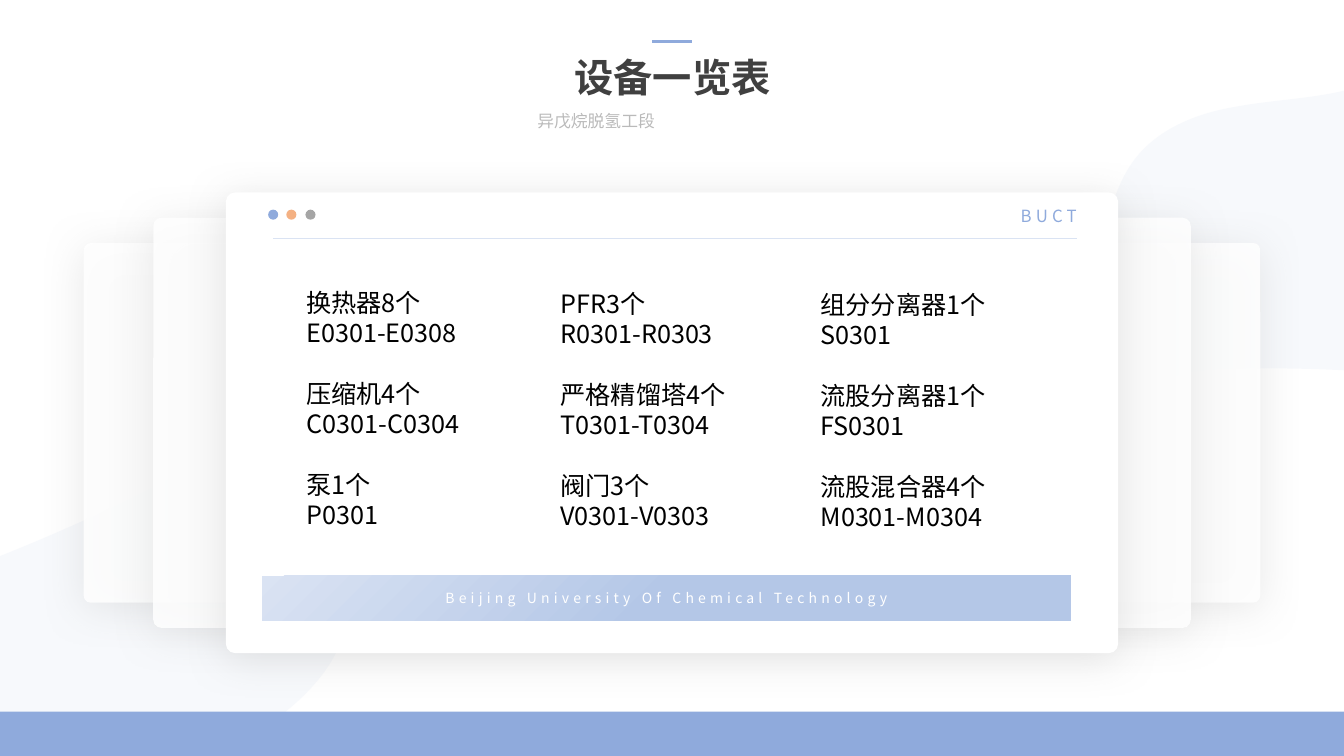
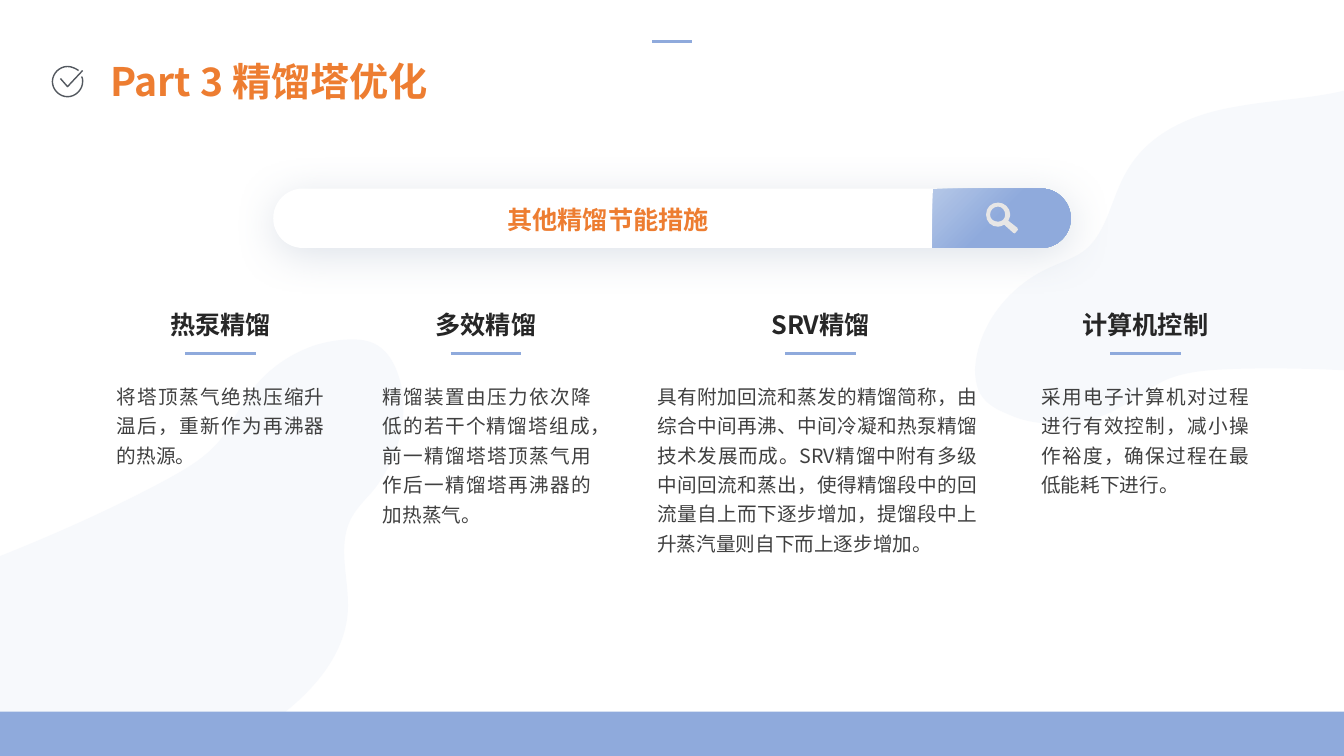
"""Build two slides on process equipment and column energy saving."""
from math import cos, radians, sin

from lxml.etree import SubElement
from pptx import Presentation
from pptx.dml.color import RGBColor as Rgb
from pptx.enum.shapes import MSO_CONNECTOR as Link, MSO_SHAPE as Kind
from pptx.enum.text import PP_ALIGN as Align
from pptx.oxml.ns import qn
from pptx.util import Inches, Pt

WIDE, HIGH = 13.33, 7.5
FONT = "Noto Sans CJK SC"
HUES = {
    "white": "FFFFFF", "black": "000000", "dark": "262626", "text": "404040",
    "note": "BABABA", "blue": "8FAADC", "mid": "B4C7E7", "pale": "DAE3F3",
    "orange": "ED7D31", "peach": "F4B183", "gray": "A5A5A5", "icon": "53585F",
    "lens": "E7E6E6", "shade": "BFBFBF", "slate": "ADB9CA",
}
LEFT = [(3.01, 3.47), (2.8, 3.56, 2.6, 3.72, 2.47, 3.91),
        (2.36, 4.06, 2.29, 4.23, 2.18, 4.37), (2.03, 4.55, 1.83, 4.66, 1.63, 4.77),
        (0.73, 5.25, -0.22, 5.62, -1.19, 5.96), (-1.57, 6.09, -1.96, 6.23, -2.28, 6.48),
        (-2.34, 6.52, -2.39, 6.56, -2.44, 6.61), (-2.55, 6.74), (-1.91, 8.18), (1.38, 9.02),
        (1.23, 8.62, 1.44, 8.17, 1.74, 7.86), (2.04, 7.56, 2.43, 7.37, 2.77, 7.11),
        (3.11, 6.85, 3.42, 6.5, 3.45, 6.07), (3.47, 5.76, 3.34, 5.43, 3.48, 5.15),
        (3.53, 5.05, 3.62, 4.96, 3.7, 4.87), (3.98, 4.52, 4.1, 4.02, 3.91, 3.62),
        (3.88, 3.56, 3.84, 3.5, 3.79, 3.46), (3.69, 3.37, 3.55, 3.36, 3.42, 3.37),
        (3.28, 3.38, 3.14, 3.41, 3.01, 3.47)]
RIGHT = [(10.41, 4.2), (10.64, 4.22, 10.88, 4.17, 11.09, 4.05),
         (11.25, 3.97, 11.39, 3.85, 11.56, 3.77), (11.77, 3.68, 12, 3.67, 12.23, 3.66),
         (13.25, 3.63, 14.27, 3.73, 15.28, 3.86), (15.68, 3.91, 16.09, 3.97, 16.49, 3.89),
         (16.56, 3.88, 16.62, 3.86, 16.69, 3.84), (16.85, 3.78), (16.92, 2.2), (14.35, -0.03),
         (14.3, 0.39, 13.92, 0.71, 13.51, 0.85), (13.11, 0.98, 12.67, 0.98, 12.25, 1.06),
         (11.83, 1.13, 11.4, 1.31, 11.18, 1.69), (11.02, 1.95, 10.99, 2.3, 10.75, 2.49),
         (10.65, 2.56, 10.53, 2.6, 10.42, 2.65), (10.01, 2.83, 9.69, 3.23, 9.67, 3.67),
         (9.67, 3.74, 9.68, 3.8, 9.7, 3.86), (9.75, 3.99, 9.87, 4.06, 10, 4.11),
         (10.13, 4.17, 10.27, 4.2, 10.41, 4.2)]
BLOBS = [(LEFT, (1.33, 6.64), 336), (RIGHT, (13.34, 2.12), 182.6)]
BUTTON = [(9.25, 1.87), (10.32, 1.87), (10.49, 1.87, 10.62, 2, 10.62, 2.17),
          (10.62, 2.33, 10.49, 2.46, 10.32, 2.46), (9.25, 2.46)]
RING = [(0.81, 0.76), (0.82, 0.77, 0.82, 0.79, 0.82, 0.81),
        (0.82, 0.89, 0.75, 0.96, 0.67, 0.96), (0.59, 0.96, 0.52, 0.89, 0.52, 0.81),
        (0.52, 0.73, 0.59, 0.66, 0.67, 0.66), (0.71, 0.66, 0.75, 0.68, 0.78, 0.7)]
TICK = [(0.6, 0.78), (0.67, 0.86), (0.82, 0.7)]
GLASS = [(10.09, 2.26), (10, 2.19), (10.01, 2.17, 10.02, 2.15, 10.02, 2.13),
         (10.02, 2.06, 9.96, 2.01, 9.9, 2.01), (9.83, 2.01, 9.78, 2.06, 9.78, 2.13),
         (9.78, 2.2, 9.83, 2.25, 9.9, 2.25), (9.92, 2.25, 9.94, 2.24, 9.96, 2.23),
         (10.05, 2.31), (10.06, 2.32, 10.07, 2.32, 10.08, 2.3),
         (10.1, 2.29, 10.1, 2.27, 10.09, 2.26)]
HOLE = [(9.9, 2.2), (9.85, 2.2, 9.82, 2.17, 9.82, 2.13), (9.82, 2.09, 9.85, 2.05, 9.9, 2.05),
        (9.94, 2.05, 9.97, 2.09, 9.97, 2.13), (9.97, 2.17, 9.94, 2.2, 9.9, 2.2)]
LISTS = [
    (2.94, 2.8, [("换热器8个", "E0301-E0308"), ("压缩机4个", "C0301-C0304"), ("泵1个", "P0301")]),
    (5.46, 2.81, [("PFR3个", "R0301-R0303"), ("严格精馏塔4个", "T0301-T0304"),
                  ("阀门3个", "V0301-V0303")]),
    (8.04, 2.82, [("组分分离器1个", "S0301"), ("流股分离器1个", "FS0301"),
                  ("流股混合器4个", "M0301-M0304")]),
]
WAYS = [
    (2.19, 1.06, 2.26, 3, "热泵精馏", "将塔顶蒸气绝热压缩升温后，重新作为再沸器的热源。"),
    (4.82, 3.7, 2.26, 5, "多效精馏",
     "精馏装置由压力依次降低的若干个精馏塔组成，前一精馏塔塔顶蒸气用作后一精馏塔再沸器的加热蒸气。"),
    (8.14, 6.42, 3.37, 6, "SRV精馏",
     "具有附加回流和蒸发的精馏简称，由综合中间再沸、中间冷凝和热泵精馏技术发展而成。"
     "SRV精馏中附有多级中间回流和蒸出，使得精馏段中的回流量自上而下逐步增加，"
     "提馏段中上升蒸汽量则自下而上逐步增加。"),
    (11.36, 10.23, 2.26, 4, "计算机控制",
     "采用电子计算机对过程进行有效控制，减小操作裕度，确保过程在最低能耗下进行。"),
]


def tint(name):
    return Rgb.from_string(HUES[name])


def paint(shape, fill, alpha=100):
    shape.shadow.inherit = False
    shape.line.fill.background()
    if isinstance(fill, tuple):
        shape.fill.gradient()
        shape.fill.gradient_angle = 315
        for stop, hue, place in zip(shape.fill.gradient_stops, fill, (0, 0.49)):
            stop.color.rgb = tint(hue)
            stop.position = place
        return
    shape.fill.solid()
    shape.fill.fore_color.rgb = tint(fill)
    if alpha < 100:
        node = shape.element.xpath("./p:spPr/a:solidFill/a:srgbClr")[0]
        SubElement(node, qn("a:alpha"), val=str(alpha * 1000))


def block(slide, kind, box, fill, alpha=100, bend=None):
    shape = slide.shapes.add_shape(kind, *map(Inches, box))
    paint(shape, fill, alpha)
    if bend is not None:
        shape.adjustments[0] = bend
    return shape


def shade(shape, hue):
    glow = SubElement(shape.element.xpath("./p:spPr/a:effectLst")[0], qn("a:outerShdw"),
                      blurRad=str(Pt(30)), dist=str(Pt(5)), dir="5400000",
                      algn="t", rotWithShape="0")
    color = SubElement(glow, qn("a:srgbClr"), val=HUES[hue])
    SubElement(color, qn("a:alpha"), val="40000")


def trace(slide, *loops, close=True):
    pen = slide.shapes.build_freeform(*map(Inches, loops[0][0]))
    for i, loop in enumerate(loops):
        if i:
            pen.move_to(*map(Inches, loop[0]))
        pen.add_line_segments([tuple(map(Inches, part[-2:])) for part in loop[1:]], close=close)
    shape = pen.convert_to_shape()
    parts = [part for loop in loops for part in loop[1:]]
    for node, part in zip(shape.element.xpath(".//a:lnTo"), parts):
        if len(part) == 6:
            node.tag = qn("a:cubicBezTo")
            for i in (0, 1):
                x, y = map(Inches, part[2 * i:2 * i + 2])
                dot = SubElement(node, qn("a:pt"), x=str(x - shape.left), y=str(y - shape.top))
                node.insert(i, dot)
    return shape


def spin(dot, hub, turn):
    c, s = cos(radians(turn)), sin(radians(turn))
    x, y = dot[0] - hub[0], dot[1] - hub[1]
    return hub[0] + c * x - s * y, hub[1] + s * x + c * y


def blob(slide, loop, hub, turn):
    flat = [sum((spin(part[i:i + 2], hub, -turn) for i in range(0, len(part), 2)), ())
            for part in loop]
    shape = trace(slide, flat)
    half = shape.width / 2, shape.height / 2
    mid = spin((shape.left + half[0], shape.top + half[1]), tuple(map(Inches, hub)), turn)
    shape.left, shape.top = int(mid[0] - half[0]), int(mid[1] - half[1])
    shape.rotation = turn
    paint(shape, "pale", 20)


def rule(slide, start, end, hue="blue", size=2.25):
    line = slide.shapes.add_connector(Link.STRAIGHT, *map(Inches, start + end))
    line.line.color.rgb = tint(hue)
    line.line.width = Pt(size)
    SubElement(line.element.spPr, qn("a:effectLst"))


def style(para, size, hue, bold=False, align=Align.LEFT, pitch=None, track=0, font=FONT):
    para.alignment = align
    if pitch:
        para.line_spacing = pitch
    face = para.font
    face.name, face.size, face.bold = font, Pt(size), bold
    face.color.rgb = tint(hue)
    node = para._p.xpath("./a:pPr/a:defRPr")[0]
    SubElement(node, qn("a:ea"), typeface=FONT)
    if track:
        node.set("spc", str(track * 100))


def label(slide, box, text, size, hue, pad=0.1, wrap=True, **looks):
    frame = slide.shapes.add_textbox(*map(Inches, box)).text_frame
    frame.word_wrap = wrap
    frame.margin_left = frame.margin_right = Inches(pad)
    frame.text = text
    for para in frame.paragraphs:
        style(para, size, hue, **looks)
    return frame


def title(slide, left, top, text, hue, font=FONT):
    label(slide, (left, top, 4.12, 0.61), text, 28, hue, bold=True,
          align=Align.CENTER, pitch=0.9, font=font)


def dress(slide):
    layout = slide.slide_layout
    tree = layout.element.cSld.spTree
    for holder in list(layout.placeholders):
        tree.remove(holder.element)
    for loop, hub, turn in BLOBS:
        blob(slide, loop, hub, turn)
    block(slide, Kind.RECTANGLE, (0, 7.06, WIDE, 0.44), "blue")
    rule(slide, (6.47, 0.41), (6.86, 0.41))
    for shape in list(slide.shapes):
        tree.append(shape.element)


def gear(slide):
    for left, top, alpha in ((0.83, 2.41, 85), (1.52, 2.16, 85), (2.24, 1.91, 100)):
        box = (left, top, WIDE - 2 * left, 8.39 - 2 * top)
        shade(block(slide, Kind.ROUNDED_RECTANGLE, box, "white", alpha, 0.02), "shade")
    title(slide, 4.61, 0.53, "设备一览表", "text", "Arial")
    for left, hue in ((2.66, "blue"), (2.84, "peach"), (3.03, "gray")):
        block(slide, Kind.OVAL, (left, 2.08, 0.1, 0.1), hue)
    rule(slide, (2.71, 2.36), (10.68, 2.36), "pale", 0.5)
    label(slide, (9.86, 1.99, 0.82, 0.3), "BUCT", 12, "blue", pad=0,
          align=Align.RIGHT, track=3)
    band = block(slide, Kind.RECTANGLE, (2.6, 5.71, 8.02, 0.45), ("pale", "mid"))
    band.text_frame.text = "Beijing University Of Chemical Technology"
    style(band.text_frame.paragraphs[0], 10, "white", align=Align.CENTER, track=3)
    label(slide, (5.28, 1.07, 2.77, 0.28), "异戊烷脱氢工段", 12, "note", pad=0.05,
          align=Align.JUSTIFY, pitch=0.9)
    for left, top, pairs in LISTS:
        text = "\n".join(line for pair in pairs for line in pair)
        frame = label(slide, (left, top, 2.05, 3.13), text, 18, "black")
        for para in frame.paragraphs[2::2]:
            para.space_before = Pt(21.7)


def saving(slide):
    title(slide, 0.61, 0.57, "Part 3 精馏塔优化", "orange")
    check = trace(slide, RING, TICK, close=False)
    check.shadow.inherit = False
    check.fill.background()
    check.line.color.rgb = tint("icon")
    check.line.width = Pt(1)
    bar = block(slide, Kind.ROUNDED_RECTANGLE, (2.71, 1.87, 7.91, 0.59), "white", bend=0.5)
    shade(bar, "slate")
    label(slide, (4.92, 1.98, 2.22, 0.4), "其他精馏节能措施", 18, "orange", wrap=False,
          bold=True, align=Align.CENTER)
    paint(trace(slide, BUTTON), ("mid", "blue"))
    paint(trace(slide, GLASS, HOLE), "lens")
    for mid, left, width, rows, head, text in WAYS:
        label(slide, (left, 3.71, width, 0.1 + 0.29 * rows), text, 14, "text",
              align=Align.JUSTIFY, pitch=1.25)
        label(slide, (mid - 0.73, 3.02, 1.46, 0.4), head, 18, "dark", bold=True,
              align=Align.CENTER)
        rule(slide, (mid - 0.35, 3.51), (mid + 0.35, 3.51))


def main():
    deck = Presentation()
    deck.slide_width, deck.slide_height = Inches(WIDE), Inches(HIGH)
    first, second = [deck.slides.add_slide(deck.slide_layouts[6]) for _ in range(2)]
    dress(first)
    gear(first)
    saving(second)
    deck.save("out.pptx")


if __name__ == "__main__":
    main()
